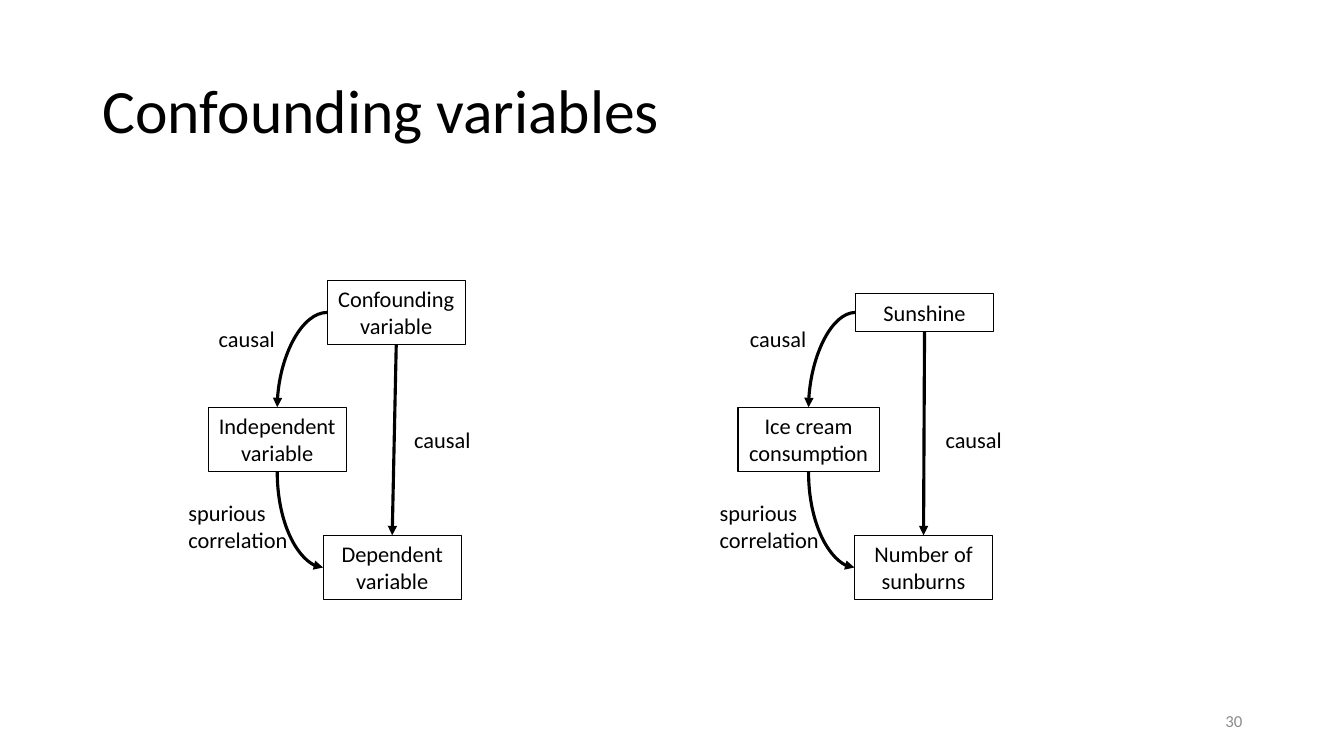
from pptx import Presentation
from pptx.dml.color import RGBColor
from pptx.enum.shapes import MSO_CONNECTOR, MSO_SHAPE
from pptx.enum.text import MSO_ANCHOR, MSO_AUTO_SIZE, PP_ALIGN
from pptx.oxml.ns import qn
from pptx.util import Inches, Pt
from lxml import etree

BLACK = RGBColor(0x00, 0x00, 0x00)
GREY = RGBColor(0x8C, 0x8C, 0x8C)
LEFT, CENTER, RIGHT = PP_ALIGN.LEFT, PP_ALIGN.CENTER, PP_ALIGN.RIGHT
TOP, MIDDLE = MSO_ANCHOR.TOP, MSO_ANCHOR.MIDDLE
GROW, FIXED = MSO_AUTO_SIZE.SHAPE_TO_FIT_TEXT, MSO_AUTO_SIZE.NONE
STRAIGHT, CURVE = MSO_CONNECTOR.STRAIGHT, MSO_CONNECTOR.CURVE

# Grid in inches: centre lines of the three rows, heights of one and two lines
ROW_1, ROW_2, ROW_3 = 3.1, 4.36, 5.63
LINE_1, LINE_2 = 0.37, 0.64
BOX_W, WIDE_W = 1.37, 1.4

prs = Presentation()
prs.slide_width, prs.slide_height = Inches(13.33), Inches(7.5)
s = prs.slides.add_slide(prs.slide_layouts[6])


def add_text(text, x, y, w, h, size=16, color=BLACK, align=LEFT, anchor=TOP,
             wrap=False, fit=GROW, spacing=1.0, boxed=False):
    """Add a text box or an outlined box, one paragraph per line of text."""
    place = [Inches(v) for v in (x, y, w, h)]
    if boxed:
        sp = s.shapes.add_shape(MSO_SHAPE.RECTANGLE, *place)
        sp.shadow.inherit = False
        sp.fill.background()
        sp.line.color.rgb = BLACK
        sp.line.width = Pt(0.75)
    else:
        sp = s.shapes.add_textbox(*place)
    tf = sp.text_frame
    tf.word_wrap, tf.auto_size, tf.vertical_anchor = wrap, fit, anchor
    for i, line in enumerate(text.split("\n")):
        p = tf.add_paragraph() if i else tf.paragraphs[0]
        p.alignment, p.line_spacing = align, spacing
        r = p.add_run()
        r.text = line
        r.font.name, r.font.size = "Calibri", Pt(size)
        r.font.color.rgb = color


def add_arrow(x1, y1, x2, y2, kind=STRAIGHT, leave_down=False):
    """Add an arrow; a curve leaves sideways, or downwards if asked to."""
    if leave_down:  # a quarter turn swaps the sides of the frame about its centre
        cx, cy, dx, dy = (x1 + x2) / 2, (y1 + y2) / 2, (x2 - x1) / 2, (y2 - y1) / 2
        x1, y1, x2, y2 = cx + dy, cy - dx, cx - dy, cy + dx
    c = s.shapes.add_connector(kind, *[Inches(v) for v in (x1, y1, x2, y2)])
    c.line.color.rgb = BLACK
    c.line.width = Pt(2.25)
    pr = c._element.spPr
    if kind == CURVE:
        pr.find(qn("a:prstGeom")).set("prst", "curvedConnector2")
    if leave_down:
        pr.find(qn("a:xfrm")).set("rot", str(270 * 60000))
    etree.SubElement(pr.find(qn("a:ln")), qn("a:tailEnd")).set("type", "triangle")
    etree.SubElement(pr, qn("a:effectLst"))


add_text("Confounding variables", 0.92, 0.4, 11.5, 1.45, size=44, anchor=MIDDLE,
         wrap=True, fit=FIXED, spacing=0.9)

# Each diagram: label offset, then text, centre, width and height of its three boxes
diagrams = [
    (0, ("Confounding\nvariable", 3.93, BOX_W, LINE_2),
     ("Independent\nvariable", 2.75, BOX_W, LINE_2),
     ("Dependent\nvariable", 3.89, BOX_W, LINE_2)),
    (5.27, ("Sunshine", 9.17, BOX_W, LINE_1),
     ("Ice cream\nconsumption", 8.02, WIDE_W, LINE_2),
     ("Number of sunburns", 9.16, BOX_W, LINE_2)),
]
labels = [("causal", 4.01, 4.18, 0.76, LINE_1),
          ("causal", 2.07, 3.18, 0.76, LINE_1),
          ("spurious\ncorrelation", 1.77, 4.9, 1.2, LINE_2)]

for offset, *boxes in diagrams:
    for (text, x, w, h), y in zip(boxes, (ROW_1, ROW_2, ROW_3)):
        add_text(text, x - w / 2, y - h / 2, w, h, align=CENTER,
                 anchor=MIDDLE, wrap="\n" not in text, boxed=True)
    (_, cause, cause_w, cause_h), (_, middle, _, middle_h), (_, effect, effect_w, effect_h) = boxes
    add_arrow(cause - cause_w / 2, ROW_1, middle, ROW_2 - middle_h / 2, CURVE)
    add_arrow(middle, ROW_2 + middle_h / 2, effect - effect_w / 2, ROW_3, CURVE, True)
    add_arrow(cause, ROW_1 + cause_h / 2, effect, ROW_3 - effect_h / 2)
    for text, x, y, w, h in labels:
        add_text(text, x + offset, y, w, h)

add_text("30", 9.42, 6.95, 3, 0.4, size=12, color=GREY, align=RIGHT,
         anchor=MIDDLE, wrap=True, fit=FIXED)

prs.save("out.pptx")
